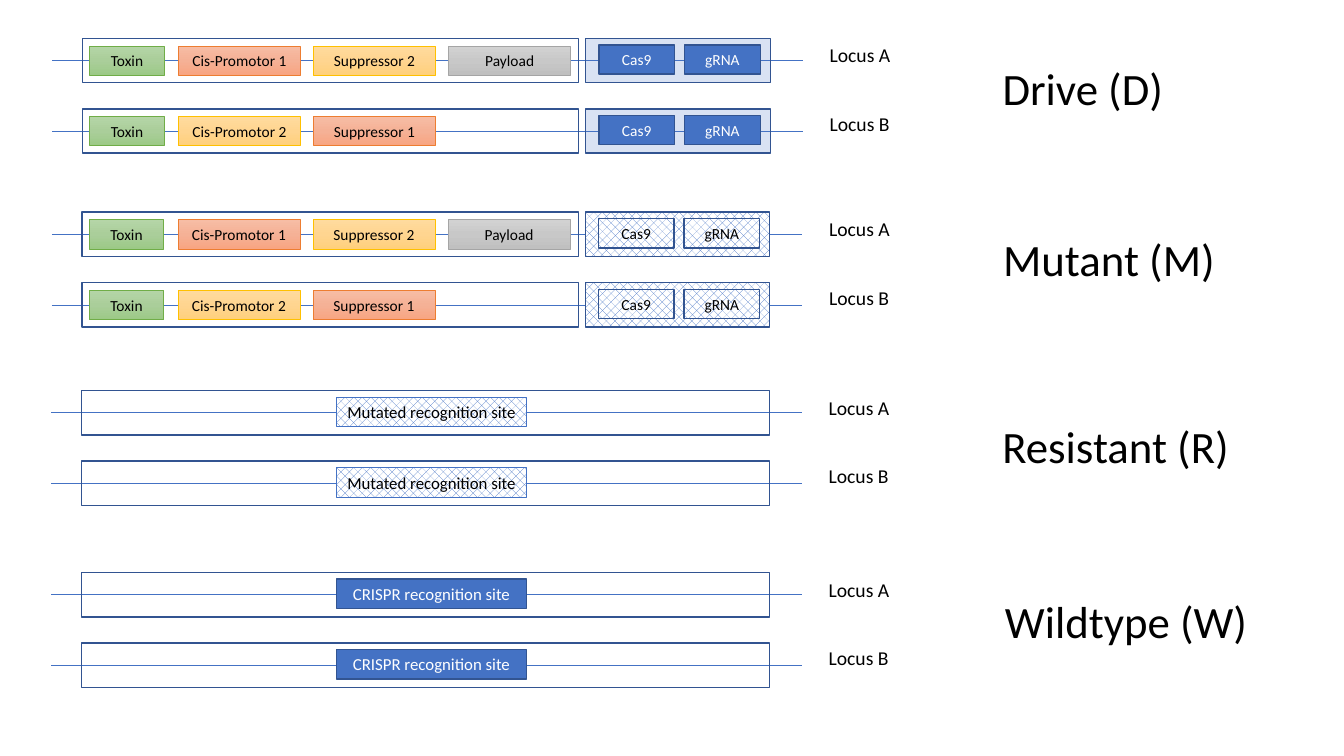
from copy import deepcopy
from lxml.etree import SubElement
from pptx import Presentation
from pptx.dml.color import RGBColor
from pptx.enum.dml import MSO_PATTERN
from pptx.enum.shapes import MSO_CONNECTOR, MSO_SHAPE
from pptx.enum.text import MSO_ANCHOR, PP_ALIGN
from pptx.oxml.ns import qn
from pptx.util import Inches, Pt

CELL = Inches(0.1)
BLUE, NAVY, BLACK, WHITE = "4472C4", "325491", "000000", "FFFFFF"
GREEN = ("70AD47", ("B5D5A7", "AACE9A", "9CC987"))
ORANGE = ("ED7D31", ("F7BDA5", "F5B196", "F8A582"))
YELLOW = ("FFC000", ("FFDB9E", "FFD590", "FFD07C"))
GREY = ("A5A5A5", ("D2D2D2", "C8C8C8", "C0C0C0"))
ROW_H, PART_H, LOCUS_STEP, LABEL_STEP = 4.4, 2.9, 7, 6.8
GENE_X, GENE_W, GENE_STEP = 12.5, 12.1, 13.4

GENES = {
    "A": [("Cis-Promotor 1", ORANGE), ("Suppressor 2", YELLOW), ("Payload", GREY)],
    "B": [("Cis-Promotor 2", YELLOW), ("Suppressor 1", ORANGE)],
}


def color(value):
    return RGBColor.from_string(value)


def cells(*values):
    return [round(value * CELL) for value in values]


def write(frame, words, size=11, ink=BLACK, align=PP_ALIGN.CENTER,
          anchor=MSO_ANCHOR.MIDDLE, wrap=False):
    frame.word_wrap = wrap
    frame.vertical_anchor = anchor
    paragraph = frame.paragraphs[0]
    paragraph.alignment = align
    run = paragraph.add_run()
    run.text = words
    run.font.name, run.font.size = "Calibri", Pt(size)
    run.font.color.rgb = color(ink)


def label(slide, box, words, **style):
    area = slide.shapes.add_textbox(*cells(*box))
    write(area.text_frame, words, anchor=MSO_ANCHOR.TOP, wrap=True, **style)


def paint_gradient(part, shades):
    part.fill.gradient()
    part.fill.gradient_angle = 270
    stops = part._element.spPr.find(".//" + qn("a:gsLst"))
    stops.insert(1, deepcopy(stops[0]))
    for stop, shade, position in zip(part.fill.gradient_stops, shades, (0, 0.5, 1)):
        stop.color.rgb, stop.position = color(shade), position


def paint_hatch(part):
    part.fill.patterned()
    part.fill.pattern = MSO_PATTERN.from_xml("pct40")
    part.fill.fore_color.rgb, part.fill.back_color.rgb = color(BLUE), color(WHITE)


def paint_solid(part, alpha=None):
    part.fill.solid()
    part.fill.fore_color.rgb = color(BLUE)
    if alpha:
        tint = part._element.spPr.find(".//" + qn("a:srgbClr"))
        SubElement(tint, qn("a:alpha"), val=str(alpha * 1000))


def block(slide, box, words="", edge=NAVY, weight=1, paint=None, **style):
    part = slide.shapes.add_shape(MSO_SHAPE.RECTANGLE, *cells(*box))
    part.shadow.inherit = False
    part.line.color.rgb, part.line.width = color(edge), Pt(weight)
    if paint:
        paint(part)
    else:
        part.fill.background()
    if words:
        write(part.text_frame, words, **style)


def strand(slide, left, top):
    y = top + ROW_H / 2
    line = slide.shapes.add_connector(
        MSO_CONNECTOR.STRAIGHT, *cells(left, y, left + 74.4, y))
    line.line.color.rgb, line.line.width = color(BLUE), Pt(0.5)
    SubElement(line._element.spPr, qn("a:effectLst"))


def cassette_locus(slide, left, top, locus, broken):
    strand(slide, left, top)
    parts = [("Toxin", GREEN, 3.7, 7.4)] + [
        (name, tone, GENE_X + i * GENE_STEP, GENE_W)
        for i, (name, tone) in enumerate(GENES[locus])]
    for name, (edge, shades), x, width in parts:
        block(slide, (left + x, top + 0.75, width, PART_H), name, edge, 0.5,
              lambda part: paint_gradient(part, shades))
    block(slide, (left + 3, top, 49.2, ROW_H))
    block(slide, (left + 52.9, top, 18.3, ROW_H),
          paint=paint_hatch if broken else lambda part: paint_solid(part, 20))
    for name, x in (("Cas9", 54.2), ("gRNA", 62.7)):
        block(slide, (left + x, top + 0.65, 7.5, PART_H), name,
              paint=paint_hatch if broken else paint_solid,
              ink=BLACK if broken else WHITE)


def site_locus(slide, left, top, words, mutated):
    strand(slide, left, top)
    block(slide, (left + 3, top, 68.2, ROW_H))
    look = (dict(edge=BLUE, weight=0.5, paint=paint_hatch) if mutated
            else dict(paint=paint_solid, ink=WHITE))
    block(slide, (left + 28.3, top + 0.65, 18.8, PART_H), words, size=12, **look)


def genotype(slide, left, top, title, title_box, draw_locus):
    for i, locus in enumerate("AB"):
        draw_locus(slide, left, top + i * LOCUS_STEP, locus)
        label(slide, (left + 76.1, top + i * LABEL_STEP, 10.4, 4.6),
              f"Locus {locus}", size=14, align=PP_ALIGN.LEFT)
    x, drop, width = title_box
    label(slide, (x, top + drop, width, 8.7), title, size=32)


def drive(slide, left, top, locus):
    cassette_locus(slide, left, top, locus, broken=False)


def mutant(slide, left, top, locus):
    cassette_locus(slide, left, top, locus, broken=True)


def resistant(slide, left, top, locus):
    site_locus(slide, left, top, "Mutated recognition site", mutated=True)


def wildtype(slide, left, top, locus):
    site_locus(slide, left, top, "CRISPR recognition site", mutated=False)


deck = Presentation()
deck.slide_width, deck.slide_height = Inches(13.33), Inches(7.5)
page = deck.slides.add_slide(deck.slide_layouts[6])
for row in (
    (5.2, 3.8, "Drive (D)", (95.7, 1.7, 23.4), drive),
    (5.15, 21.05, "Mutant (M)", (95, 1.45, 30), mutant),
    (5.1, 38.75, "Resistant (R)", (94.7, 2.35, 31.9), resistant),
    (5.1, 56.8, "Wildtype (W)", (94.7, 1.6, 34), wildtype),
):
    genotype(page, *row)
deck.save("out.pptx")
